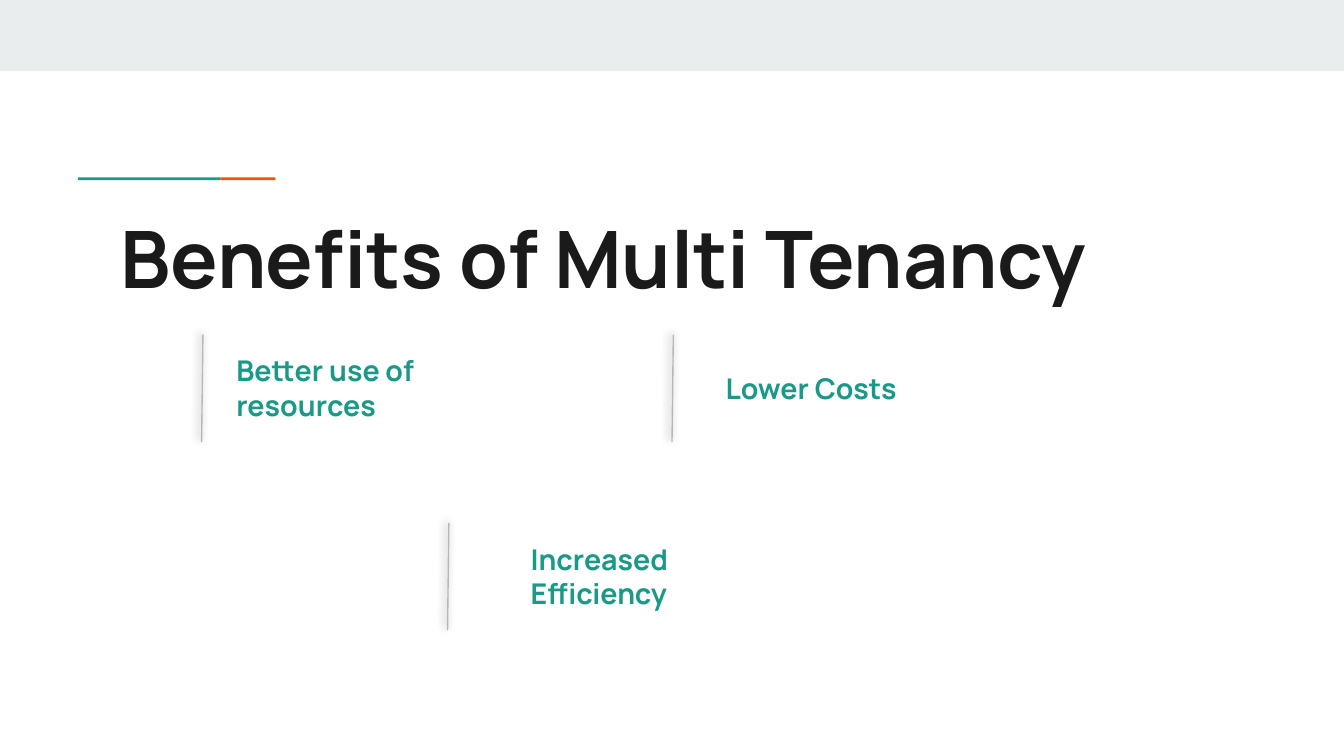
from dataclasses import dataclass

import pptx
import pptx.dml.color
import pptx.enum.shapes
import pptx.enum.text
import pptx.oxml
import pptx.oxml.ns
import pptx.slide
import pptx.util

Inches = pptx.util.Inches


@dataclass(frozen=True)
class Theme:
    font: str = "Manrope"
    title_size: float = 42.4
    benefit_size: float = 15.3
    ink: str = "1A1A1A"
    teal: str = "1A9988"
    orange: str = "EB5600"
    band: str = "E9EDEE"
    divider: str = "B7B7B7"


@dataclass(frozen=True)
class Bar:
    left: float
    top: float
    width: float
    height: float
    color: str


@dataclass(frozen=True)
class Benefit:
    label: str
    label_left: float
    divider_left: float
    top: float


THEME = Theme()
BARS = [
    Bar(0, 0, 10, 0.53, THEME.band),
    Bar(0.58, 1.32, 1.06, 0.02, THEME.teal),
    Bar(1.64, 1.32, 0.41, 0.02, THEME.orange),
]
BENEFITS = [
    Benefit("Better use of resources", 1.66, 1.5, 2.49),
    Benefit("Lower Costs", 5.3, 5, 2.49),
    Benefit("Increased Efficiency", 3.85, 3.33, 3.89),
]
SHADOW = (
    f'<a:effectLst {pptx.oxml.ns.nsdecls("a")}>'
    '<a:outerShdw blurRad="57150" dist="19050" dir="12900000" algn="bl" rotWithShape="0">'
    '<a:srgbClr val="000000"><a:alpha val="50000"/></a:srgbClr>'
    "</a:outerShdw></a:effectLst>"
)


def rgb(color: str) -> pptx.dml.color.RGBColor:
    return pptx.dml.color.RGBColor.from_string(color)


def draw_bar(page: pptx.slide.Slide, bar: Bar) -> None:
    shape = page.shapes.add_shape(
        pptx.enum.shapes.MSO_SHAPE.RECTANGLE,
        Inches(bar.left), Inches(bar.top), Inches(bar.width), Inches(bar.height),
    )
    shape.shadow.inherit = False
    shape.fill.solid()
    shape.fill.fore_color.rgb = rgb(bar.color)
    shape.line.fill.background()


def draw_text(
    page: pptx.slide.Slide, text: str, left: float, top: float, width: float, height: float,
    size: float, color: str, anchor: pptx.enum.text.MSO_ANCHOR,
) -> None:
    box = page.shapes.add_textbox(Inches(left), Inches(top), Inches(width), Inches(height))
    frame = box.text_frame
    frame.word_wrap = True
    frame.vertical_anchor = anchor
    frame.margin_left = frame.margin_right = Inches(0.1)
    frame.margin_top = frame.margin_bottom = Inches(0.1)
    span = frame.paragraphs[0].add_run()
    span.text = text
    span.font.name = THEME.font
    span.font.size = pptx.util.Pt(size)
    span.font.bold = True
    span.font.color.rgb = rgb(color)


def draw_divider(page: pptx.slide.Slide, left: float, top: float) -> None:
    line = page.shapes.add_connector(
        pptx.enum.shapes.MSO_CONNECTOR.STRAIGHT,
        Inches(left + 0.01), Inches(top), Inches(left), Inches(top + 0.8),
    )
    line.line.color.rgb = rgb(THEME.divider)
    line.line.width = pptx.util.Pt(0.75)
    line._element.spPr.append(pptx.oxml.parse_xml(SHADOW))


def draw_benefit(page: pptx.slide.Slide, benefit: Benefit) -> None:
    draw_divider(page, benefit.divider_left, benefit.top)
    draw_text(
        page, benefit.label, benefit.label_left, benefit.top + 0.18, 1.98, 0.43,
        THEME.benefit_size, THEME.teal, pptx.enum.text.MSO_ANCHOR.MIDDLE,
    )


def main() -> None:
    deck = pptx.Presentation()
    deck.slide_width = Inches(10)
    deck.slide_height = deck.slide_width * 9 // 16
    page = deck.slides.add_slide(deck.slide_layouts[6])
    for bar in BARS:
        draw_bar(page, bar)
    draw_text(
        page, "Benefits of Multi Tenancy", 0.8, 1.46, 8.41, 0.74,
        THEME.title_size, THEME.ink, pptx.enum.text.MSO_ANCHOR.TOP,
    )
    for benefit in BENEFITS:
        draw_benefit(page, benefit)
    deck.save("out.pptx")


if __name__ == "__main__":
    main()
